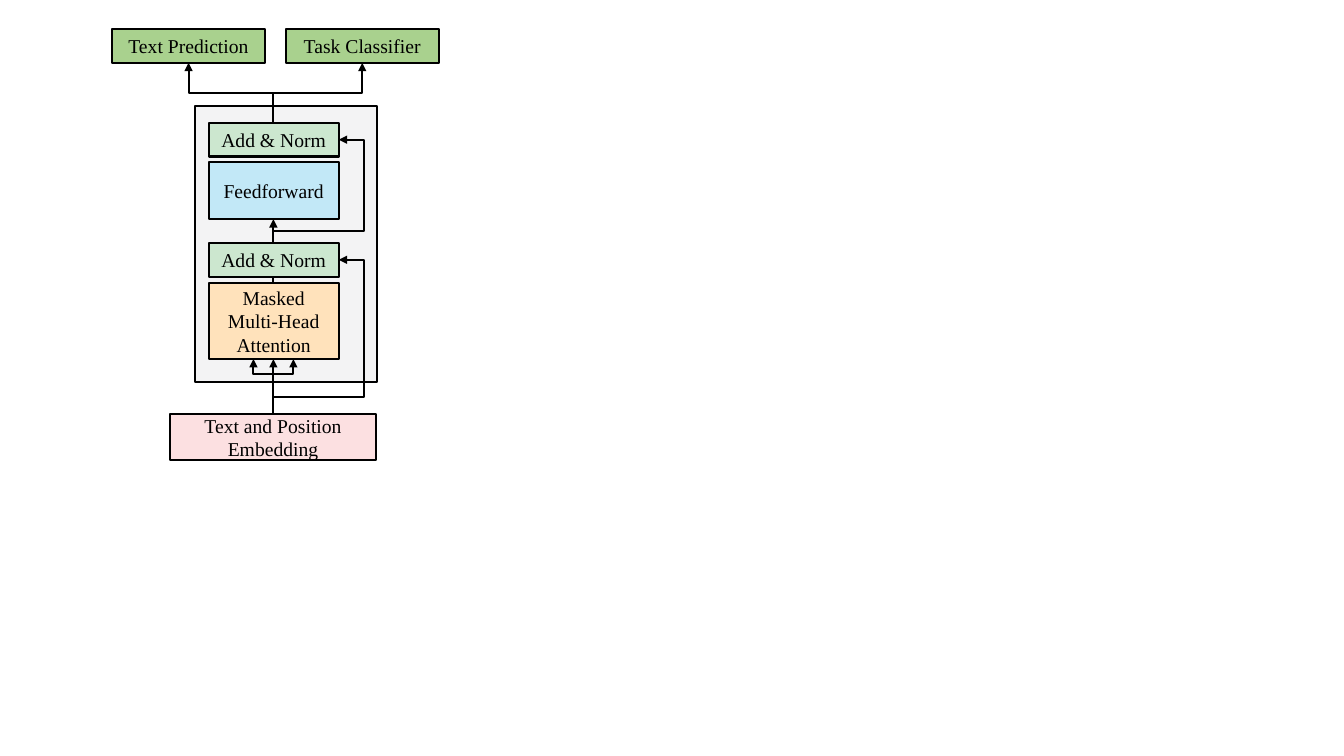
from dataclasses import dataclass

from lxml.etree import SubElement
from pptx import Presentation
from pptx.dml.color import RGBColor
from pptx.enum.shapes import MSO_CONNECTOR, MSO_SHAPE
from pptx.enum.text import MSO_ANCHOR, PP_ALIGN
from pptx.oxml.ns import qn
from pptx.shapes.connector import Connector
from pptx.slide import Slide
from pptx.util import Pt


@dataclass(frozen=True)
class Theme:
    font: str = "Times New Roman"
    text_size: float = 14
    line_width: float = 1.5
    ink: str = "000000"
    frame: str = "F3F3F4"
    attention: str = "FFE2BB"
    feedforward: str = "C2E8F7"
    embedding: str = "FCE0E1"
    norm: str = "CCE7CF"
    head: str = "A9D18E"


@dataclass(frozen=True)
class Block:
    left: float
    top: float
    width: float
    height: float
    fill: str
    lines: tuple[str, ...] = ()
    anchor: MSO_ANCHOR = MSO_ANCHOR.MIDDLE

    @property
    def right(self) -> float:
        return self.left + self.width

    @property
    def bottom(self) -> float:
        return self.top + self.height

    @property
    def center(self) -> float:
        return self.left + self.width / 2

    @property
    def middle(self) -> float:
        return self.top + self.height / 2


Point = tuple[float, float]

THEME = Theme()
INK = RGBColor.from_string(THEME.ink)
COLUMN_LEFT, COLUMN_WIDTH = 149, 93
LABEL_HEIGHT = 24
HEAD_TOP, HEAD_WIDTH = 20.9, 109.6
SPINE = 195.3
SKIP_LANE = 260
HEAD_RAIL, INPUT_RAIL = 66.2, 267
INPUT_SPREAD = 14.3


def column_block(top: float, height: float, fill: str, *lines: str) -> Block:
    return Block(COLUMN_LEFT, top, COLUMN_WIDTH, height, fill, lines)


def norm_block(top: float) -> Block:
    return Block(COLUMN_LEFT, top, COLUMN_WIDTH, LABEL_HEIGHT, THEME.norm,
                 ("Add & Norm",), MSO_ANCHOR.TOP)


def head_block(left: float, label: str) -> Block:
    return Block(left, HEAD_TOP, HEAD_WIDTH, LABEL_HEIGHT, THEME.head,
                 (label,), MSO_ANCHOR.TOP)


FRAME = Block(139.2, 76, 130.3, 197.2, THEME.frame)
ATTENTION = column_block(202.3, 54.2, THEME.attention, "Masked", "Multi-Head", "Attention")
FEEDFORWARD = column_block(115.8, 40.8, THEME.feedforward, "Feedforward")
EMBEDDING = Block(121.6, 295.6, 147, 33.1, THEME.embedding, ("Text and Position Embedding",))
UPPER_NORM = norm_block(87.8)
LOWER_NORM = norm_block(173.6)
HEADS = (head_block(79.9, "Text Prediction"), head_block(204, "Task Classifier"))


def draw_block(page: Slide, block: Block) -> None:
    box = page.shapes.add_shape(MSO_SHAPE.RECTANGLE, Pt(block.left), Pt(block.top),
                                Pt(block.width), Pt(block.height))
    box.shadow.inherit = False
    box.fill.solid()
    box.fill.fore_color.rgb = RGBColor.from_string(block.fill)
    box.line.color.rgb = INK
    box.line.width = Pt(THEME.line_width)
    frame = box.text_frame
    frame.word_wrap = True
    frame.vertical_anchor = block.anchor
    for index, line in enumerate(block.lines):
        para = frame.add_paragraph() if index else frame.paragraphs[0]
        para.alignment = PP_ALIGN.CENTER
        span = para.add_run()
        span.text = line
        span.font.name = THEME.font
        span.font.size = Pt(THEME.text_size)
        span.font.color.rgb = INK


def draw_arrow(page: Slide, kind: MSO_CONNECTOR, start: Point, end: Point) -> Connector:
    arrow = page.shapes.add_connector(kind, Pt(start[0]), Pt(start[1]), Pt(end[0]), Pt(end[1]))
    arrow.line.color.rgb = INK
    arrow.line.width = Pt(THEME.line_width)
    SubElement(arrow.line._get_or_add_ln(), qn("a:tailEnd"), type="triangle")
    SubElement(arrow._element.spPr, qn("a:effectLst"))
    return arrow


def set_bend(arrow: Connector, share: float) -> None:
    """Put the elbow's middle segment at a share of its run."""
    adjustments = arrow._element.spPr.find(qn("a:prstGeom")).find(qn("a:avLst"))
    SubElement(adjustments, qn("a:gd"), name="adj1", fmla=f"val {round(share * 100000)}")


def draw_skip(page: Slide, start: Point, end: Point) -> None:
    """Draw a residual path out to the skip lane and back to the column."""
    arrow = draw_arrow(page, MSO_CONNECTOR.ELBOW, start, end)
    set_bend(arrow, (SKIP_LANE - start[0]) / (end[0] - start[0]))


def draw_riser(page: Slide, start: Point, end: Point, rail: float) -> None:
    """Draw an up-across-up path: a horizontal elbow turned by 270 degrees."""
    rise, shift = start[1] - end[1], end[0] - start[0]
    x, y = (start[0] + end[0]) / 2, (start[1] + end[1]) / 2
    arrow = draw_arrow(page, MSO_CONNECTOR.ELBOW,
                       (x - rise / 2, y - shift / 2), (x + rise / 2, y + shift / 2))
    arrow._element.spPr.find(qn("a:xfrm")).set("rot", str(270 * 60000))
    set_bend(arrow, (start[1] - rail) / rise)


def main() -> None:
    deck = Presentation()
    deck.slide_width, deck.slide_height = Pt(960), Pt(540)
    page = deck.slides.add_slide(deck.slide_layouts[6])

    for block in (FRAME, ATTENTION, FEEDFORWARD, EMBEDDING, UPPER_NORM):
        draw_block(page, block)

    source = (SPINE, EMBEDDING.top)
    draw_arrow(page, MSO_CONNECTOR.STRAIGHT, source, (SPINE, ATTENTION.bottom))
    for side in (-1, 1):
        draw_riser(page, source, (SPINE + side * INPUT_SPREAD, ATTENTION.bottom), INPUT_RAIL)
    draw_skip(page, (SPINE, 283.6), (LOWER_NORM.right, LOWER_NORM.middle))
    draw_arrow(page, MSO_CONNECTOR.STRAIGHT, (SPINE, ATTENTION.top), (SPINE, FEEDFORWARD.bottom))
    draw_skip(page, (SPINE, 165), (UPPER_NORM.right, UPPER_NORM.middle))

    draw_block(page, LOWER_NORM)
    for head in HEADS:
        draw_block(page, head)
        draw_riser(page, (SPINE, UPPER_NORM.top), (head.center, head.bottom), HEAD_RAIL)

    deck.save("out.pptx")


if __name__ == "__main__":
    main()
